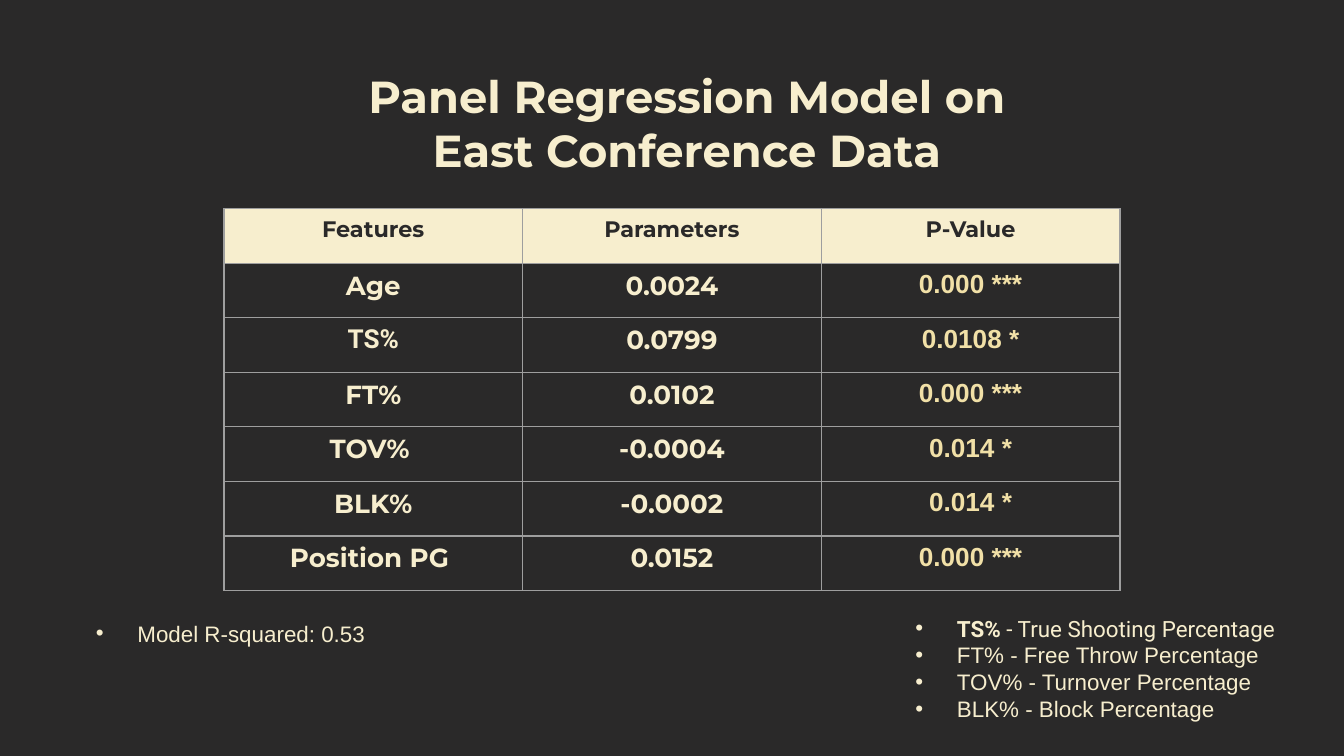
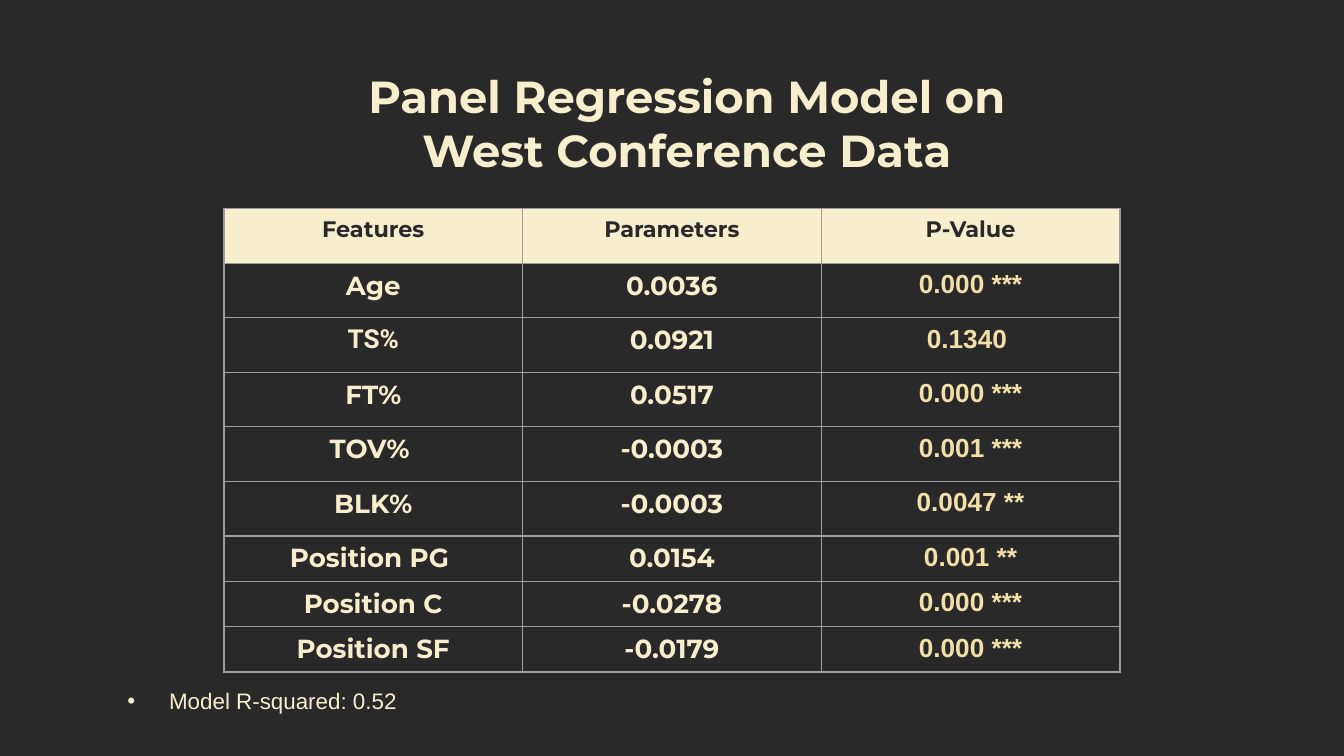
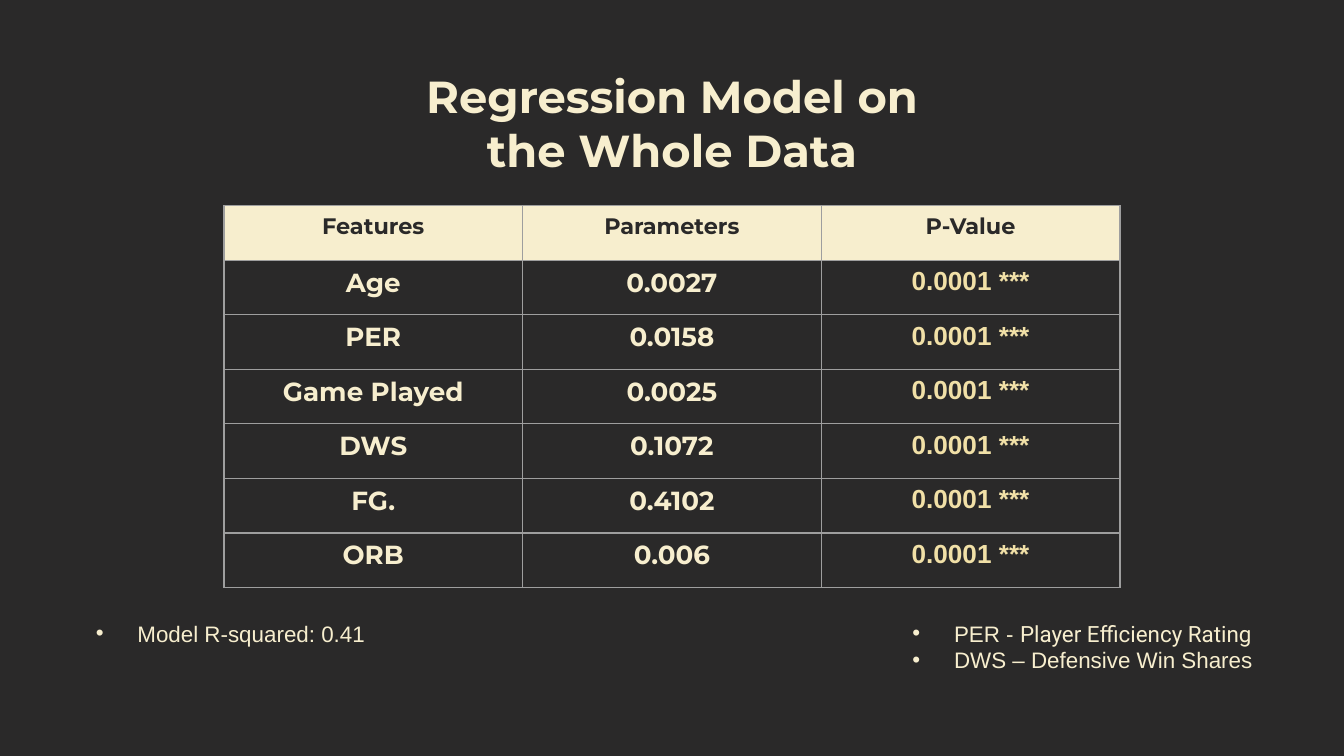
from lxml.etree import SubElement
from pptx import Presentation
from pptx.dml.color import RGBColor
from pptx.enum.text import MSO_ANCHOR, MSO_AUTO_SIZE, PP_ALIGN
from pptx.oxml.ns import qn
from pptx.util import Inches, Pt

DARK = "2A2929"
CREAM = "F7EECE"
GOLD = "F1E0A7"
GRAY = "9E9E9E"
HEADINGS = ("Features", "Parameters", "P-Value")
TALL_ROW, SHORT_ROW = 7.22, 6


def rgb(color):
    return RGBColor.from_string(color)


def add_text(paragraph, text, size=12, font="Arial", color=CREAM, bold=False):
    run = paragraph.add_run()
    run.text = text
    run.font.size = Pt(size)
    run.font.name = font
    run.font.bold = bold
    run.font.color.rgb = rgb(color)


def add_bullet(paragraph):
    properties = paragraph._p.get_or_add_pPr()
    properties.set("marL", str(Inches(0.31)))
    properties.set("indent", str(-Inches(0.31)))
    bullet_color = SubElement(properties, qn("a:buClr"))
    SubElement(bullet_color, qn("a:srgbClr"), val=CREAM)
    SubElement(properties, qn("a:buFont"), typeface="Arial")
    SubElement(properties, qn("a:buChar"), char="•")


def add_borders(cell):
    properties = cell._tc.get_or_add_tcPr()
    for side in ("a:lnL", "a:lnR", "a:lnT", "a:lnB"):
        line = SubElement(properties, qn(side), w=str(Pt(0.75)))
        fill = SubElement(line, qn("a:solidFill"))
        SubElement(fill, qn("a:srgbClr"), val=GRAY)


class RegressionDeck:
    """Slides laid out on a grid of 100 columns by 100 rows."""

    def __init__(self):
        self.presentation = Presentation()
        self.presentation.slide_width = Inches(10)
        self.presentation.slide_height = Inches(10) * 9 // 16
        self.slide = None

    def columns(self, count):
        return round(self.presentation.slide_width * count / 100)

    def rows(self, count):
        return round(self.presentation.slide_height * count / 100)

    def place(self, left, top, width, height):
        return self.columns(left), self.rows(top), self.columns(width), self.rows(height)

    def add_slide(self, title, left, width):
        layout = self.presentation.slide_layouts.get_by_name("Title Only")
        self.slide = self.presentation.slides.add_slide(layout)
        background = self.slide.background.fill
        background.solid()
        background.fore_color.rgb = rgb(DARK)

        shape = self.slide.shapes.title
        shape.left, shape.top, shape.width, shape.height = self.place(left, 7.33, width, 11.2)
        frame = shape.text_frame
        frame.margin_left = frame.margin_right = Inches(0.1)
        frame.margin_top = frame.margin_bottom = Inches(0.1)
        frame.word_wrap = True
        frame.auto_size = MSO_AUTO_SIZE.NONE
        frame.vertical_anchor = MSO_ANCHOR.TOP
        paragraph = frame.paragraphs[0]
        paragraph.alignment = PP_ALIGN.CENTER
        add_text(paragraph, title, size=24, font="Montserrat", bold=True)

    def add_cell(self, cell, text, fill=None, **text_format):
        add_borders(cell)
        if fill:
            cell.fill.solid()
            cell.fill.fore_color.rgb = rgb(fill)
        else:
            cell.fill.background()
        paragraph = cell.text_frame.paragraphs[0]
        paragraph.alignment = PP_ALIGN.CENTER
        add_text(paragraph, text, bold=True, **text_format)

    def add_results(self, results, top=27.6, short_rows=0):
        """Add the model table; its last short_rows rows are lower."""
        row_count = len(results) + 1
        heights = [TALL_ROW] * (row_count - short_rows) + [SHORT_ROW] * short_rows
        area = self.place(100 / 6, top, 200 / 3, sum(heights))
        table = self.slide.shapes.add_table(row_count, len(HEADINGS), *area).table
        table.horz_banding = False
        for row, height in zip(table.rows, heights):
            row.height = self.rows(height)

        for column, heading in enumerate(HEADINGS):
            self.add_cell(table.cell(0, column), heading, fill=CREAM,
                          font="Montserrat", color=DARK)
        for row, (feature, parameter, p_value) in enumerate(results, start=1):
            feature_font = "Roboto" if feature == "TS%" else "Montserrat"
            self.add_cell(table.cell(row, 0), feature, size=14, font=feature_font)
            self.add_cell(table.cell(row, 1), parameter, size=14, font="Montserrat")
            self.add_cell(table.cell(row, 2), p_value, size=14, color=GOLD)

    def add_notes(self, notes, left, top, width, height):
        """Add bullets; each note is a list of (text, format) pieces."""
        box = self.slide.shapes.add_textbox(*self.place(left, top, width, height))
        frame = box.text_frame
        frame.word_wrap = False
        frame.auto_size = MSO_AUTO_SIZE.SHAPE_TO_FIT_TEXT
        for index, note in enumerate(notes):
            paragraph = frame.add_paragraph() if index else frame.paragraphs[0]
            add_bullet(paragraph)
            for text, text_format in note:
                add_text(paragraph, text, **text_format)

    def add_fit(self, r_squared, left=6.14, top=81.1):
        self.add_notes([[(f"Model R-squared: {r_squared}", {})]], left, top, 22.2, 5.4)


def main():
    deck = RegressionDeck()

    deck.add_slide("Panel Regression Model on East Conference Data", 23.25, 55.7)
    deck.add_results([
        ("Age", "0.0024", "0.000 ***"),
        ("TS%", "0.0799", "0.0108 *"),
        ("FT%", "0.0102", "0.000 ***"),
        ("TOV% ", "-0.0004", "0.014 *"),
        ("BLK%", "-0.0002", "0.014 *"),
        ("Position PG ", "0.0152", "0.000 ***"),
    ])
    deck.add_notes([
        [("TS%", {"font": "Roboto", "bold": True}),
         (" - True Shooting Percentage", {"font": "Roboto"})],
        [("FT% - Free Throw Percentage", {})],
        [("TOV% - Turnover Percentage", {})],
        [("BLK% - Block Percentage", {})],
    ], 67.12, 80.45, 29.9, 16.7)
    deck.add_fit("0.53")

    deck.add_slide("Panel Regression Model on West Conference Data", 23.25, 55.7)
    deck.add_results([
        ("Age", "0.0036", "0.000 ***"),
        ("TS%", "0.0921", "0.1340 "),
        ("FT%", "0.0517", "0.000 ***"),
        ("TOV% ", "-0.0003", "0.001 ***"),
        ("BLK%", "-0.0003", "0.0047 **"),
        ("Position PG ", "0.0154", "0.001 **"),
        ("Position C", "-0.0278", "0.000 ***"),
        ("Position SF", "-0.0179", "0.000 ***"),
    ], short_rows=3)
    deck.add_fit("0.52", left=8.5, top=90)

    deck.add_slide("Regression Model on the Whole Data", 28.35, 43.3)
    deck.add_results([
        ("Age", "0.0027", "0.0001 ***"),
        ("PER", "0.0158", "0.0001 ***"),
        ("Game Played", "0.0025", "0.0001 ***"),
        ("DWS", "0.1072", "0.0001 ***"),
        ("FG.", "0.4102", "0.0001 ***"),
        ("ORB", "0.006", "0.0001 ***"),
    ], top=27.2)
    deck.add_notes([
        [("PER - ", {}), ("Player Efficiency Rating", {"font": "Roboto"})],
        [("DWS – Defensive Win Shares", {})],
    ], 66.9, 81.1, 27.9, 8.9)
    deck.add_fit("0.41")

    deck.presentation.save("out.pptx")


if __name__ == "__main__":
    main()
